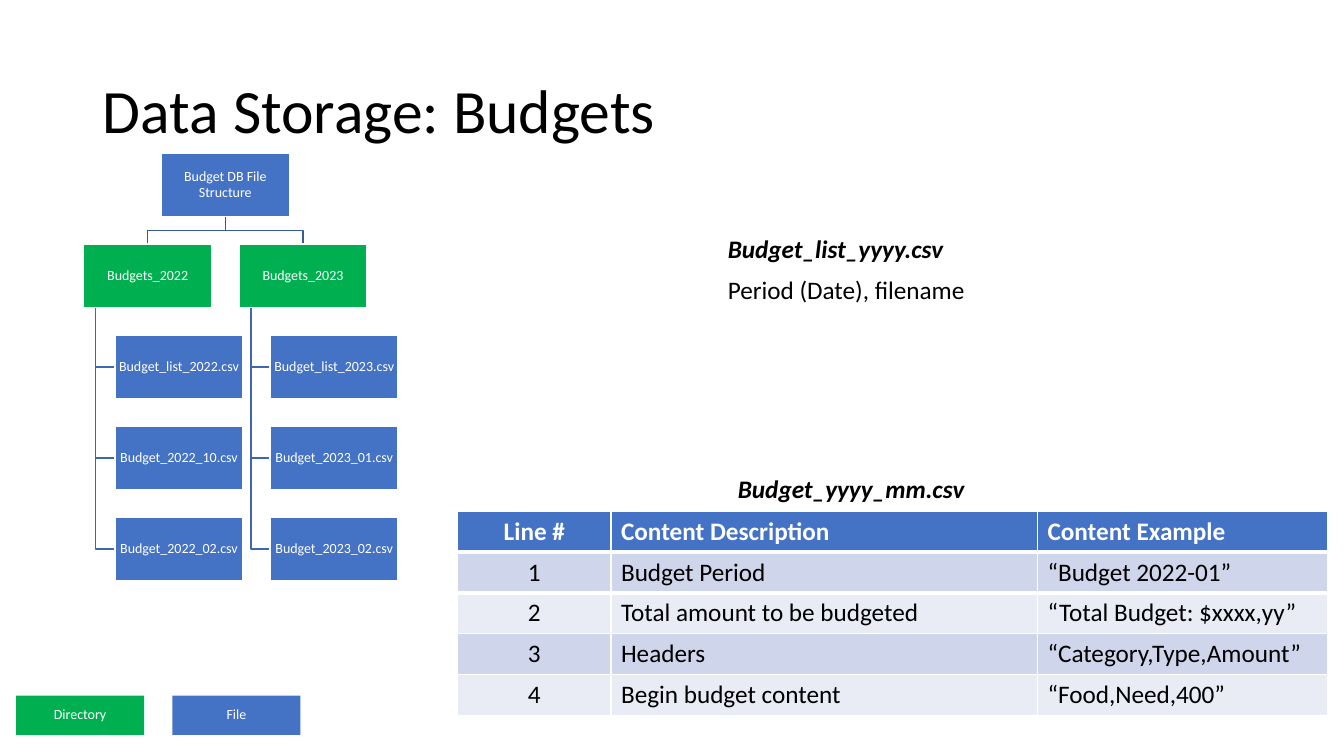
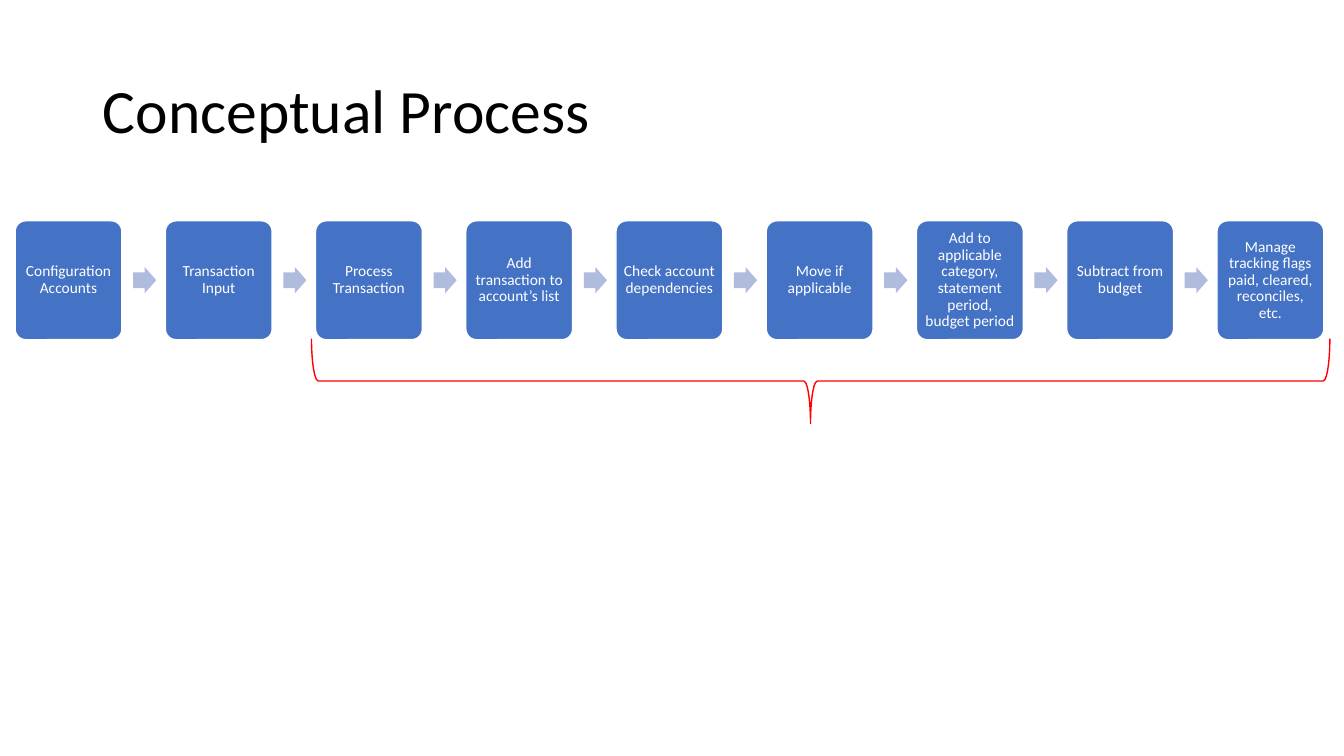
from lxml import etree
from pptx import Presentation
from pptx.dml.color import RGBColor
from pptx.enum.shapes import MSO_SHAPE
from pptx.enum.text import MSO_ANCHOR, PP_ALIGN
from pptx.oxml.ns import qn
from pptx.util import Inches, Pt

RECT, ROUNDED = MSO_SHAPE.RECTANGLE, MSO_SHAPE.ROUNDED_RECTANGLE
ARROW, BRACE = MSO_SHAPE.RIGHT_ARROW, MSO_SHAPE.LEFT_BRACE
LEFT, CENTER, MIDDLE = PP_ALIGN.LEFT, PP_ALIGN.CENTER, MSO_ANCHOR.MIDDLE

FONT = "Calibri"
BLACK = RGBColor(0x00, 0x00, 0x00)
WHITE = RGBColor(0xFF, 0xFF, 0xFF)
BLUE = RGBColor(0x44, 0x72, 0xC4)
GREEN = RGBColor(0x00, 0xB0, 0x50)
RED = RGBColor(0xFF, 0x00, 0x00)
ARROW_BLUE = RGBColor(0xB0, 0xBC, 0xDE)
STEM_BLUE = RGBColor(0x36, 0x5B, 0x9D)
TRUNK_BLUE = RGBColor(0x3E, 0x67, 0xB2)
ROW_FILLS = (RGBColor(0xCF, 0xD5, 0xEA), RGBColor(0xE9, 0xEB, 0xF5))

# Content
ROOT = "Budget DB File Structure"
FOLDERS = {
    "Budgets_2022": ["Budget_list_2022.csv", "Budget_2022_10.csv", "Budget_2022_02.csv"],
    "Budgets_2023": ["Budget_list_2023.csv", "Budget_2023_01.csv", "Budget_2023_02.csv"],
}
LEGEND = [("Directory", GREEN), ("File", BLUE)]
LIST_FILE = ["Budget_list_yyyy.csv", "Period (Date), filename"]
MONTH_FILE = ["Budget_yyyy_mm.csv"]
MONTH_FILE_LINES = [
    ("Line #", "Content Description", "Content Example"),
    ("1", "Budget Period", "“Budget 2022-01”"),
    ("2", "Total amount to be budgeted", "“Total Budget: $xxxx,yy”"),
    ("3", "Headers", "“Category,Type,Amount”"),
    ("4", "Begin budget content", "“Food,Need,400”"),
]
STEPS = [
    "Configuration Accounts",
    "Transaction Input",
    "Process Transaction",
    "Add transaction to account’s list",
    "Check account dependencies",
    "Move if applicable",
    "Add to applicable category, statement period, budget period",
    "Subtract from budget",
    "Manage tracking flags\npaid, cleared, reconciles, etc.",
]


# Shared parts
def style(paragraph, size, color, align=LEFT, bold=False, italic=False):
    paragraph.alignment = align
    font = paragraph.font
    font.name, font.size, font.color.rgb = FONT, Pt(size), color
    font.bold, font.italic = bold, italic


def add_titled_slide(prs, text):
    slide = prs.slides.add_slide(prs.slide_layouts[5])
    title = slide.shapes.title
    title.left, title.top = Inches(0.92), Inches(0.4)
    title.width, title.height = Inches(11.5), Inches(1.45)
    title.text_frame.text = text
    title.text_frame.vertical_anchor = MIDDLE
    paragraph = title.text_frame.paragraphs[0]
    paragraph.line_spacing = 0.9
    style(paragraph, 44, BLACK)
    return slide


def paint(shape, fill=None, line=None):
    shape.shadow.inherit = False
    if fill is None:
        shape.fill.background()
    else:
        shape.fill.solid()
        shape.fill.fore_color.rgb = fill
    if line is None:
        shape.line.fill.background()
    else:
        shape.line.color.rgb = line
        shape.line.width = Pt(1)


def add_plain_shape(slide, kind, x, y, w, h, fill=None, line=None):
    shape = slide.shapes.add_shape(kind, Inches(x), Inches(y), Inches(w), Inches(h))
    paint(shape, fill, line)
    return shape


def add_box(slide, text, x, y, w, h, fill, line=WHITE, kind=RECT, size=10, inset=0.01):
    box = add_plain_shape(slide, kind, x, y, w, h, fill, line)
    frame = box.text_frame
    frame.word_wrap = True
    frame.vertical_anchor = MIDDLE
    frame.margin_left = frame.margin_right = Inches(inset)
    frame.margin_top = frame.margin_bottom = Inches(inset)
    paragraph = frame.paragraphs[0]
    paragraph.text = text
    paragraph.line_spacing = 0.9
    style(paragraph, size, WHITE, CENTER)
    return box


def add_bent_line(slide, points, color):
    start, *rest = [(Inches(x), Inches(y)) for x, y in points]
    builder = slide.shapes.build_freeform(*start)
    builder.add_line_segments(rest, close=False)
    paint(builder.convert_to_shape(), line=color)


def add_file_note(slide, lines, x, y, w, h):
    note = slide.shapes.add_textbox(Inches(x), Inches(y), Inches(w), Inches(h))
    frame = note.text_frame
    frame.word_wrap = True
    frame.text = "\n".join(lines)
    for i, paragraph in enumerate(frame.paragraphs):
        paragraph.line_spacing = 0.9
        paragraph.space_before = Pt(10)
        style(paragraph, 18, BLACK, bold=i == 0, italic=i == 0)


# Budgets slide
def add_file_tree(slide):
    box_w, box_h, folder_pitch = 1.27, 0.63, 1.54
    left, top, file_indent, trunk_indent = 0.83, 1.52, 0.31, 0.12
    row_pitch = (5.13 - top) / 4
    root_x = left + folder_pitch * (len(FOLDERS) - 1) / 2
    root_mid, root_bottom = root_x + box_w / 2, top + box_h
    folder_y = top + row_pitch
    bus_y = (root_bottom + folder_y) / 2

    # Lines first, so that the white box outlines cover their ends
    for i, files in enumerate(FOLDERS.values()):
        x = left + i * folder_pitch
        mid, trunk_x, file_x = x + box_w / 2, x + trunk_indent, x + file_indent
        add_bent_line(slide, [(root_mid, root_bottom), (root_mid, bus_y),
                              (mid, bus_y), (mid, folder_y)], STEM_BLUE)
        for row in range(1, len(files) + 1):
            file_mid = folder_y + row * row_pitch + box_h / 2
            add_bent_line(slide, [(trunk_x, folder_y + box_h), (trunk_x, file_mid),
                                  (file_x, file_mid)], TRUNK_BLUE)

    add_box(slide, ROOT, root_x, top, box_w, box_h, BLUE)
    for i, (folder_name, files) in enumerate(FOLDERS.items()):
        x = left + i * folder_pitch
        add_box(slide, folder_name, x, folder_y, box_w, box_h, GREEN)
        for row, file_name in enumerate(files, start=1):
            add_box(slide, file_name, x + file_indent, folder_y + row * row_pitch,
                    box_w, box_h, BLUE)


def set_bottom_border(cell, side, points):
    properties = cell._tc.get_or_add_tcPr()
    border = etree.Element(qn(side), w=str(Pt(points)))
    fill = etree.SubElement(border, qn("a:solidFill"))
    etree.SubElement(fill, qn("a:srgbClr"), val=str(WHITE))
    properties.insert(0, border)


def add_line_table(slide):
    widths, height = (1.52, 4.23, 2.88), 2.03
    rows = len(MONTH_FILE_LINES)
    table = slide.shapes.add_table(
        rows, len(widths), Inches(4.54), Inches(5.07),
        Inches(sum(widths)), Inches(height)).table
    for column, width in zip(table.columns, widths):
        column.width = Inches(width)
    for r, texts in enumerate(MONTH_FILE_LINES):
        header = r == 0
        for c, text in enumerate(texts):
            cell = table.cell(r, c)
            cell.text = text
            cell.fill.solid()
            cell.fill.fore_color.rgb = BLUE if header else ROW_FILLS[(r - 1) % 2]
            style(cell.text_frame.paragraphs[0], 18, WHITE if header else BLACK,
                  CENTER if c == 0 else LEFT, bold=header)
            if header:
                set_bottom_border(cell, "a:lnB", 3)
            elif r == 1:
                set_bottom_border(cell, "a:lnT", 3)


def build_budgets(prs):
    slide = add_titled_slide(prs, "Data Storage: Budgets")
    add_file_tree(slide)
    add_file_note(slide, LIST_FILE, 7.12, 2.3, 2.8, 0.87)
    add_line_table(slide)
    add_file_note(slide, MONTH_FILE, 7.22, 4.68, 2.8, 0.39)
    for i, (label, fill) in enumerate(LEGEND):
        add_box(slide, label, 0.16 + i * 1.55, 6.9, 1.27, 0.39, fill, line=None)


# Process slide
def build_process(prs):
    slide = add_titled_slide(prs, "Conceptual Process")
    left, top, step_w, step_h, pitch = 0.15, 2.19, 1.06, 1.18, 1.49
    arrow_w, arrow_h, arrow_gap = 0.23, 0.26, 0.11
    for i, text in enumerate(STEPS):
        x = left + i * pitch
        step = add_box(slide, text, x, top, step_w, step_h, BLUE,
                       kind=ROUNDED, size=11, inset=0.04)
        step.adjustments[0] = 0.1
        if i < len(STEPS) - 1:
            arrow = add_plain_shape(slide, ARROW, x + step_w + arrow_gap,
                                    top + (step_h - arrow_h) / 2, arrow_w, arrow_h, ARROW_BLUE)
            arrow.adjustments[0], arrow.adjustments[1] = 0.6, 0.5

    # Brace under the steps from Process Transaction on, turned to point down
    brace = add_plain_shape(slide, BRACE, 7.72, -1.27, 0.84, 10.1, line=RED)
    brace.rotation = 270
    brace.adjustments[0], brace.adjustments[1] = 0.08, 0.49


def main():
    prs = Presentation()
    prs.slide_width, prs.slide_height = Inches(13.33), Inches(7.5)
    build_budgets(prs)
    build_process(prs)
    prs.save("out.pptx")


if __name__ == "__main__":
    main()
